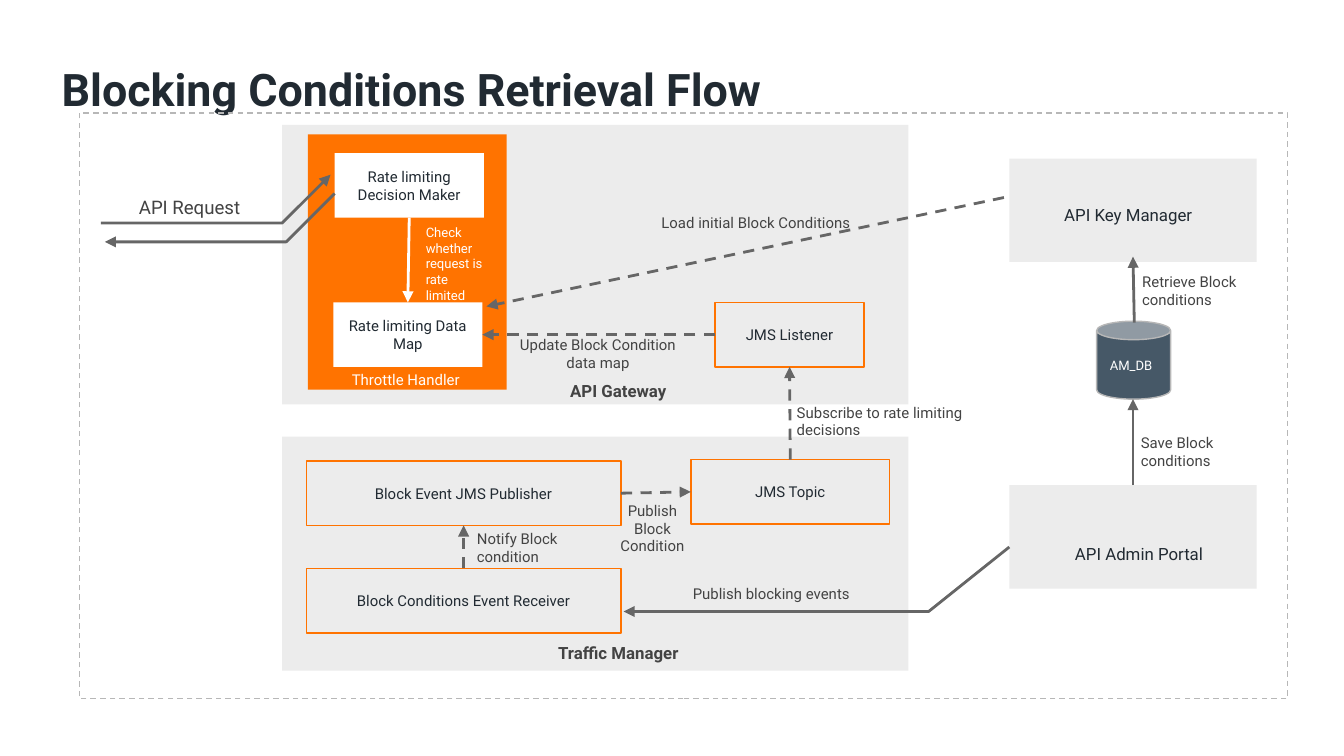
"""Build the slide that shows how blocking conditions are retrieved."""
from pptx import Presentation
from pptx.dml.color import RGBColor
from pptx.enum.dml import MSO_LINE
from pptx.enum.shapes import MSO_CONNECTOR, MSO_SHAPE as SHAPE
from pptx.enum.text import MSO_ANCHOR as ANCHOR, PP_ALIGN as ALIGN
from pptx.oxml.ns import qn
from pptx.util import Inches, Pt
from lxml.etree import SubElement

FONT = "Roboto"
COLORS = {
    "ink": "212A32", "text": "434343", "arrow": "666666", "border": "B7B7B7",
    "panel": "ECECEC", "orange": "FF7300", "database": "465867", "white": "FFFFFF",
}
TOP, LEFT, BOTTOM, RIGHT = range(4)


def rgb(name):
    return RGBColor.from_string(COLORS[name])


def write(shape, text, size, color, align=ALIGN.LEFT, anchor=ANCHOR.TOP, bold=False):
    frame = shape.text_frame
    frame.word_wrap = True
    frame.vertical_anchor = anchor
    frame.margin_left = frame.margin_right = Inches(0.1)
    frame.margin_top = frame.margin_bottom = Inches(0.1)
    frame.text = text
    for paragraph in frame.paragraphs:
        paragraph.alignment = align
        for span in paragraph.runs:
            span.font.name = FONT
            span.font.size = Pt(size)
            span.font.bold = bold
            span.font.color.rgb = rgb(color)


def add_box(page, place, fill=None, line=None, kind=SHAPE.RECTANGLE):
    box = page.shapes.add_shape(kind, *map(Inches, place))
    box.shadow.inherit = False
    if fill:
        box.fill.solid()
        box.fill.fore_color.rgb = rgb(fill)
    else:
        box.fill.background()
    if line:
        box.line.color.rgb = rgb(line)
        box.line.width = Pt(0.75)
    else:
        box.line.fill.background()
    return box


def add_step(page, text, left, top, width=1.11, fill=None, line="orange"):
    box = add_box(page, (left, top, width, 0.48), fill, line)
    write(box, text, 8, "ink", ALIGN.CENTER, ANCHOR.MIDDLE)
    return box


def add_label(page, text, place, size=8, color="text", **style):
    label = page.shapes.add_textbox(*map(Inches, place))
    write(label, text, size, color, **style)


def style_arrow(arrow, color="arrow", dashed=False):
    arrow.line.color.rgb = rgb(color)
    arrow.line.width = Pt(1.5)
    if dashed:
        arrow.line.dash_style = MSO_LINE.DASH
    outline = arrow.element.spPr.find(qn("a:ln"))
    SubElement(outline, qn("a:tailEnd"), type="triangle")


def add_arrow(page, start, end, **style):
    arrow = page.shapes.add_connector(
        MSO_CONNECTOR.STRAIGHT, *map(Inches, (*start, *end)))
    style_arrow(arrow, **style)
    SubElement(arrow.element.spPr, qn("a:effectLst"))
    return arrow


def join_steps(page, source, source_side, target, target_side, **style):
    arrow = add_arrow(page, (0, 0), (0, 0), **style)
    arrow.begin_connect(source, source_side)
    arrow.end_connect(target, target_side)


def add_bent_arrow(page, *points):
    start, *rest = [tuple(map(Inches, point)) for point in points]
    builder = page.shapes.build_freeform(*start)
    builder.add_line_segments(rest, close=False)
    arrow = builder.convert_to_shape()
    arrow.shadow.inherit = False
    arrow.fill.background()
    style_arrow(arrow)


def add_flow(page):
    listener = add_step(page, "JMS Listener", 5.32, 2.25)
    topic = add_step(page, "JMS Topic", 5.14, 3.42, 1.48)
    publisher = add_step(page, "Block Event JMS Publisher", 2.28, 3.43, 2.34)
    receiver = add_step(page, "Block Conditions Event Receiver", 2.28, 4.23, 2.34)
    data_map = add_step(page, "Rate limiting Data Map", 2.48, 2.25, fill="white", line=None)
    decision = add_step(page, "Rate limiting Decision Maker", 2.49, 1.14, fill="white", line=None)

    join_steps(page, listener, LEFT, data_map, RIGHT, dashed=True)
    join_steps(page, topic, TOP, listener, BOTTOM, dashed=True)
    join_steps(page, publisher, RIGHT, topic, LEFT, dashed=True)
    join_steps(page, receiver, TOP, publisher, BOTTOM, dashed=True)
    join_steps(page, decision, BOTTOM, data_map, TOP, color="white")
    add_arrow(page, (7.47, 1.47), (3.62, 2.28), dashed=True)
    add_bent_arrow(page, (2.49, 1.44), (2.13, 1.8), (0.78, 1.8))
    add_bent_arrow(page, (0.75, 1.66), (2.1, 1.66), (2.46, 1.3))
    add_bent_arrow(page, (7.51, 4.07), (6.91, 4.55), (4.64, 4.55))


def add_database(page, portal):
    database = add_box(page, (8.16, 2.39, 0.55, 0.58), "database", "border", SHAPE.CAN)
    write(database, "AM_DB", 7, "white", anchor=ANCHOR.MIDDLE)
    add_arrow(page, (8.43, 3.61), (8.43, 2.97)).begin_connect(portal, TOP)
    add_arrow(page, (8.44, 2.4), (8.43, 1.91))


def add_labels(page):
    for text, place in (
        ("Update Block Condition data map", (3.71, 2.4, 1.48, 0.26)),
        ("Publish Block Condition", (4.47, 3.63, 0.77, 0.48)),
        ("Load initial Block Conditions", (4.77, 1.52, 1.71, 0.26)),
        ("Publish blocking events", (4.98, 4.28, 1.52, 0.3)),
    ):
        add_label(page, text, place, align=ALIGN.CENTER)
    for text, place in (
        ("Subscribe to rate limiting decisions", (5.83, 2.9, 1.44, 0.26)),
        ("Notify Block\ncondition", (3.45, 3.84, 1.17, 0.26)),
        ("Save Block conditions", (8.39, 3.13, 1.17, 0.26)),
        ("Retrieve Block conditions", (8.4, 1.93, 1.17, 0.26)),
    ):
        add_label(page, text, place)
    for text, top in (("API Gateway", 2.78), ("Traffic Manager", 4.73)):
        add_label(page, text, (3.88, top, 1.44, 0.26), 9,
                  align=ALIGN.CENTER, anchor=ANCHOR.MIDDLE, bold=True)
    for text, left, top in (("API Key Manager", 7.82, 1.47), ("API Admin Portal", 7.9, 3.99)):
        add_label(page, text, (left, top, 1.21, 0.26), 9, "ink", anchor=ANCHOR.MIDDLE)
    add_label(page, "API Request", (0.69, 1.37, 1.44, 0.26), 10, align=ALIGN.CENTER)
    add_label(page, "Throttle Handler", (2.3, 2.69, 1.44, 0.26), 8, "white", align=ALIGN.CENTER)
    add_label(page, "Check whether request is rate limited", (3.07, 1.57, 0.64, 0.58), 7, "white")


def main():
    deck = Presentation()
    deck.slide_width = Inches(10)
    deck.slide_height = deck.slide_width * 9 // 16
    page = deck.slides.add_slide(deck.slide_layouts[6])

    add_label(page, "Blocking Conditions Retrieval Flow", (0.36, 0.36, 8.93, 0.52),
              24, "ink", bold=True)
    system = add_box(page, (0.59, 0.84, 8.99, 4.36), line="border")
    system.line.dash_style = MSO_LINE.DASH
    for top, height in ((0.93, 2.08), (3.25, 1.74)):
        add_box(page, (2.1, top, 4.66, height), "panel")
    add_box(page, (2.29, 1, 1.48, 1.9), "orange")
    _, portal = [add_box(page, (7.51, top, 1.84, 0.77), "panel") for top in (1.18, 3.61)]

    add_flow(page)
    add_database(page, portal)
    add_labels(page)
    deck.save("out.pptx")


if __name__ == "__main__":
    main()
